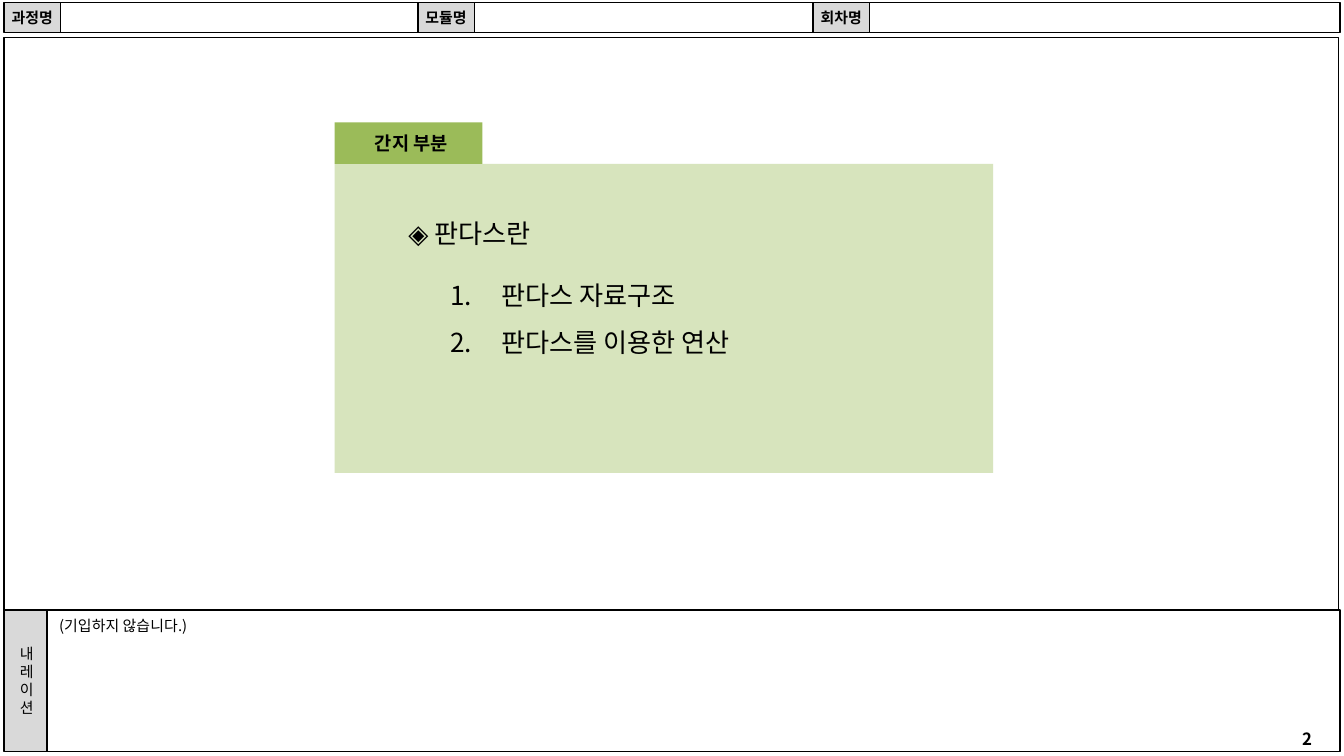
from lxml import etree
from pptx import Presentation
from pptx.dml.color import RGBColor
from pptx.enum.shapes import MSO_SHAPE
from pptx.enum.text import MSO_ANCHOR, MSO_AUTO_SIZE, PP_ALIGN
from pptx.oxml.ns import qn
from pptx.util import Inches, Pt

RECTANGLE = MSO_SHAPE.RECTANGLE
TOP, MIDDLE = MSO_ANCHOR.TOP, MSO_ANCHOR.MIDDLE
LEFT, CENTER = PP_ALIGN.LEFT, PP_ALIGN.CENTER
NO_AUTOFIT = MSO_AUTO_SIZE.NONE

FONT = "Noto Sans CJK KR"
COLORS = {
    "text": "000000",
    "line": "000000",
    "paper": "FFFFFF",
    "label": "D9D9D9",
    "panel": "D7E4BD",
    "tab": "9BBB59",
}
TITLE_AND_CONTENT = 1
INSETS = (0.1, 0.05, 0.1, 0.05)
HEADER_TOP, HEADER_HEIGHT = 0.02, 0.22
HEADER_LABEL_WIDTH = 0.42
HEADER_FIELDS = [("과정명", 0.03, 3.11), ("모듈명", 3.11, 6.05), ("회차명", 6.05, 9.97)]


def color(name):
    return RGBColor.from_string(COLORS[name])


def add_rectangle(page, left, top, width, height, fill, outlined=True):
    box = page.shapes.add_shape(
        RECTANGLE, Inches(left), Inches(top), Inches(width), Inches(height))
    box.shadow.inherit = False
    box.fill.solid()
    box.fill.fore_color.rgb = color(fill)
    if outlined:
        box.line.color.rgb = color("line")
        box.line.width = Pt(0.75)
    else:
        box.line.fill.background()
    return box


def add_text_box(page, left, top, width, height):
    return page.shapes.add_textbox(
        Inches(left), Inches(top), Inches(width), Inches(height))


def place_in_front(page, placeholder, left, top, width, height):
    """Move a placeholder to its place, above the shapes drawn so far."""
    placeholder.left, placeholder.top = Inches(left), Inches(top)
    placeholder.width, placeholder.height = Inches(width), Inches(height)
    page.shapes._spTree.append(placeholder._element)


def number_paragraph(para, indent=0.38):
    properties = para._p.get_or_add_pPr()
    properties.set("marL", str(Inches(indent)))
    properties.set("indent", str(-Inches(indent)))
    etree.SubElement(properties, qn("a:buFont"), typeface=FONT)
    etree.SubElement(properties, qn("a:buAutoNum"), type="arabicPeriod")


def format_font(para, size, bold):
    para.font.size = Pt(size)
    para.font.bold = bold
    para.font.color.rgb = color("text")
    para.font.name = FONT
    defaults = para._p.pPr.find(qn("a:defRPr"))
    etree.SubElement(defaults, qn("a:ea"), typeface=FONT)


def write(box, lines, size, bold=False, align=LEFT, anchor=TOP, wrap=True,
          insets=INSETS, line_spacing=1.0, numbered=False):
    frame = box.text_frame
    frame.auto_size = NO_AUTOFIT
    frame.word_wrap = wrap
    frame.vertical_anchor = anchor
    (frame.margin_left, frame.margin_top,
     frame.margin_right, frame.margin_bottom) = map(Inches, insets)
    frame.text = "\n".join(lines)
    for para in frame.paragraphs:
        para.alignment = align
        para.space_before = Pt(0)
        para.line_spacing = line_spacing
        if numbered:
            number_paragraph(para)
        format_font(para, size, bold)


def add_label(page, left, top, width, height, lines, bold, insets=INSETS):
    label = add_rectangle(page, left, top, width, height, "label")
    write(label, lines, 8, bold, CENTER, MIDDLE, wrap=False, insets=insets)


def add_header(page):
    for name, left, right in HEADER_FIELDS:
        field_left = left + HEADER_LABEL_WIDTH
        add_rectangle(page, field_left, HEADER_TOP, right - field_left,
                      HEADER_HEIGHT, "paper")
        add_label(page, left, HEADER_TOP, HEADER_LABEL_WIDTH, HEADER_HEIGHT,
                  [name], bold=True)


def add_narration(page):
    add_rectangle(page, 0.24, 4.54, 9.73, 1.05, "paper")
    add_label(page, 0.03, 4.54, 0.32, 1.05, list("내레이션"), bold=False,
              insets=(0.1, 0.05, 0.08, 0.05))
    narration = add_text_box(page, 0.35, 4.55, 9.62, 1.03)
    write(narration, ["(기입하지 않습니다.)"], 8, insets=(0.09, 0.04, 0.09, 0.04))
    page_number = add_text_box(page, 9.49, 5.37, 0.47, 0.25)
    write(page_number, ["2"], 9, bold=True, align=CENTER)


def add_contents(page):
    add_rectangle(page, 2.49, 1.22, 4.9, 2.3, "panel", outlined=False)
    heading = add_text_box(page, 2.94, 1.57, 1.18, 0.34)
    write(heading, ["◈ 판다스란"], 14, wrap=False)

    title, topics = page.placeholders
    place_in_front(page, title, 2.49, 0.91, 1.1, 0.31)
    title.fill.solid()
    title.fill.fore_color.rgb = color("tab")
    write(title, ["간지 부분"], 10, bold=True, align=CENTER, anchor=MIDDLE,
          insets=(0.08, 0.04, 0.04, 0.04))
    place_in_front(page, topics, 3.25, 1.91, 2.35, 0.77)
    write(topics, ["판다스 자료구조", "판다스를 이용한 연산"], 14,
          line_spacing=1.5, numbered=True)


def main():
    deck = Presentation()
    deck.slide_width = Inches(10)
    deck.slide_height = deck.slide_width * 9 // 16
    page = deck.slides.add_slide(deck.slide_layouts[TITLE_AND_CONTENT])
    add_rectangle(page, 0.03, 0.28, 9.93, 4.27, "paper")
    add_header(page)
    add_narration(page)
    add_contents(page)
    deck.save("out.pptx")


if __name__ == "__main__":
    main()
